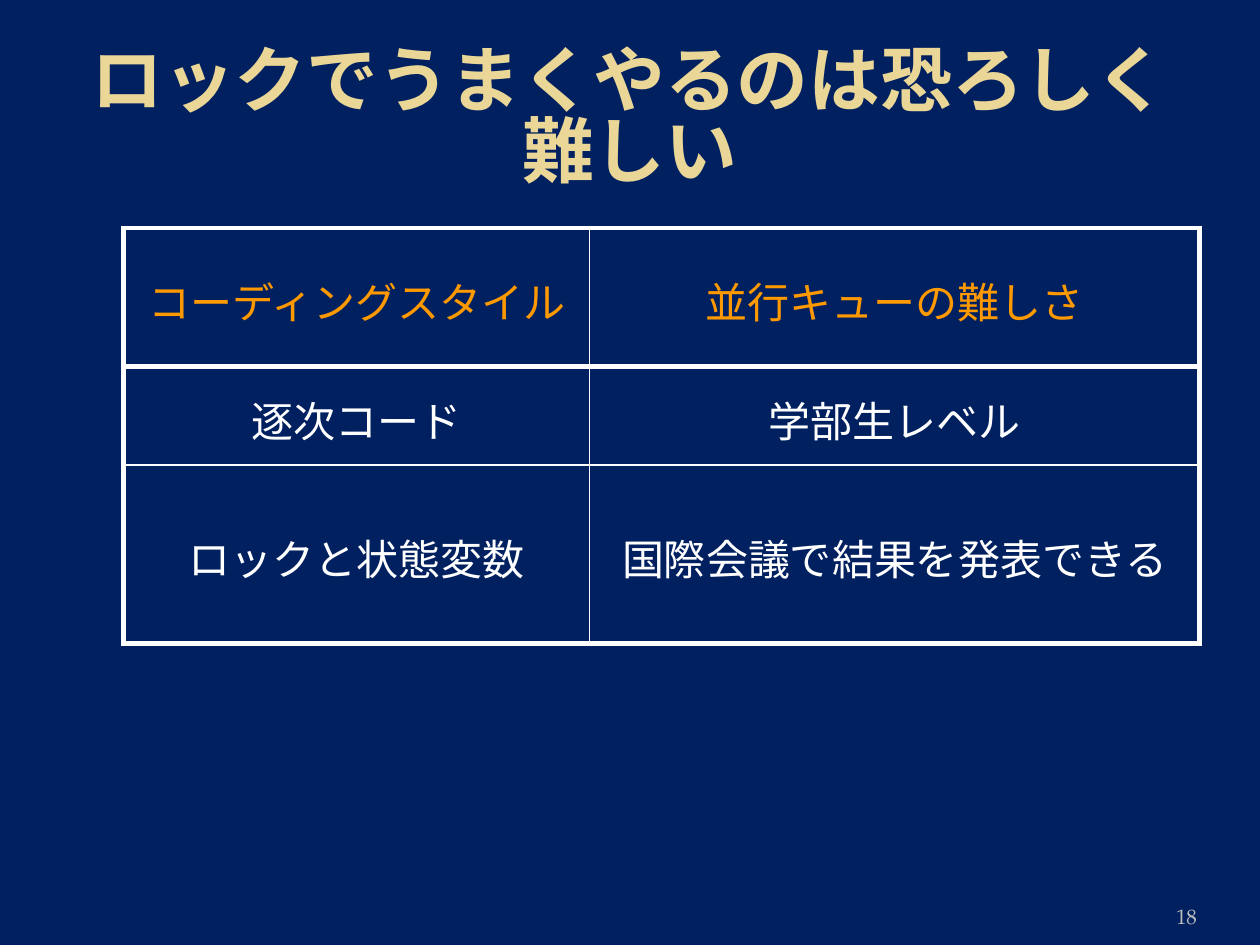
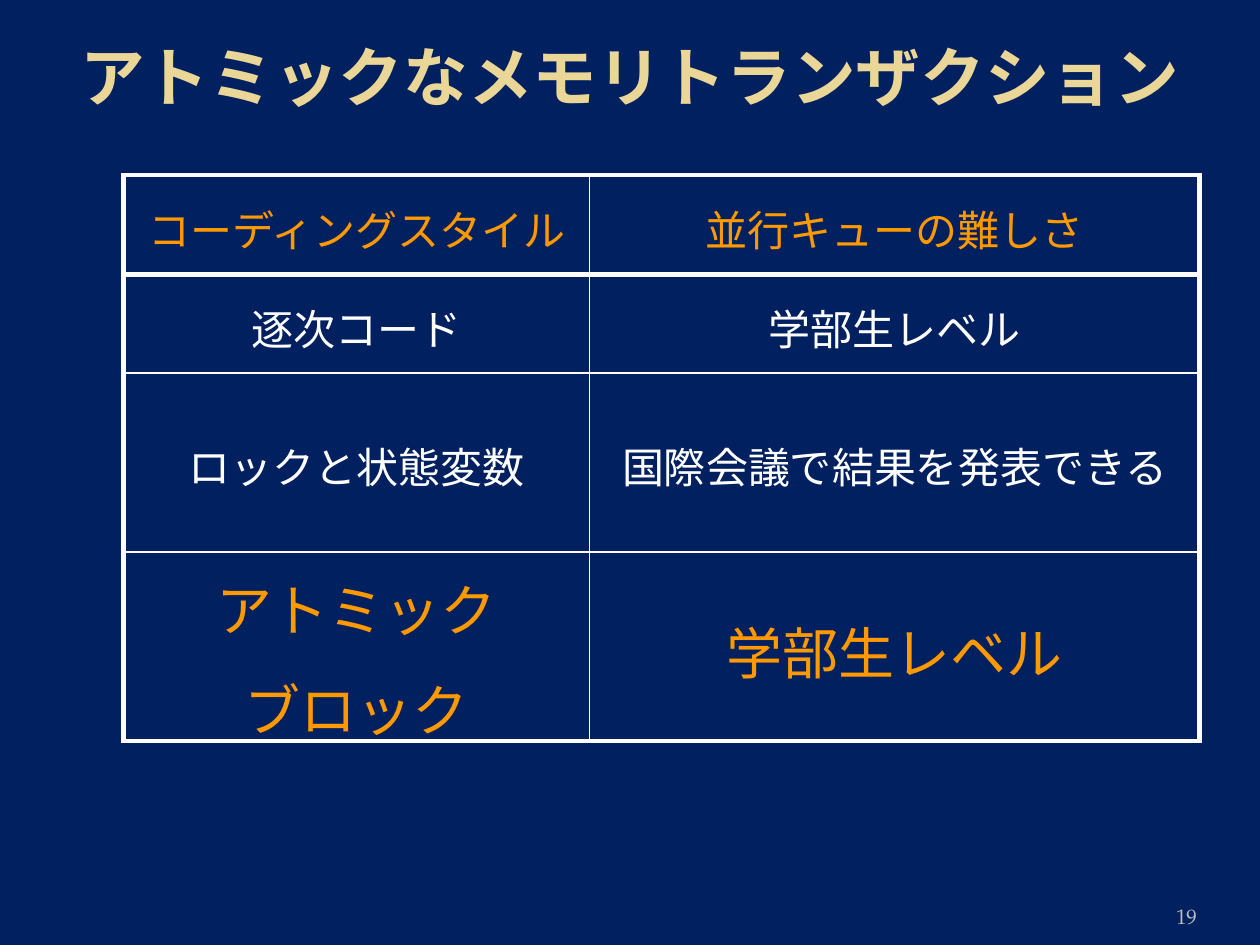
import pptx
import pptx.util
import pptx.dml.color
import pptx.enum.lang
import pptx.enum.text
import pptx.oxml.ns
from dataclasses import dataclass
from lxml import etree

Inches, Pt = pptx.util.Inches, pptx.util.Pt
Align, Anchor = pptx.enum.text.PP_ALIGN, pptx.enum.text.MSO_ANCHOR


@dataclass(frozen=True)
class Theme:
    navy: str = "002060"
    gold: str = "EAD696"
    orange: str = "FF9900"
    white: str = "FFFFFF"
    grey: str = "BDBDBD"
    head: str = "Noto Sans"
    body: str = "Arial"
    foot: str = "TeX Gyre Pagella"
    cell: float = 24
    large: float = 32
    small: float = 12
    thick: float = 3
    thin: float = 1


def color(code):
    return pptx.dml.color.RGBColor.from_string(code)


class Deck:
    def __init__(self, theme):
        self.theme = theme
        self.file = pptx.Presentation()
        self.file.slide_width = Inches(10)
        self.file.slide_height = Inches(7.5)
        fill = self.file.slide_master.background.fill
        fill.solid()
        fill.fore_color.rgb = color(theme.navy)
        self.slide = None

    def start(self, title, size, number):
        """Add a slide with its title and page number."""
        self.slide = self.file.slides.add_slide(self.file.slide_layouts[5])
        self.title(title, size)
        self.number(number)

    def style(self, para, face, size, tint, align, bold=False):
        para.alignment = align
        font = para.font
        font.name, font.size, font.bold = face, Pt(size), bold
        font.color.rgb = color(tint)
        for run in para.runs:
            run.font.language_id = pptx.enum.lang.MSO_LANGUAGE_ID.JAPANESE

    def title(self, text, size):
        shape = self.slide.shapes.title
        shape.left, shape.top = Inches(0.5), Inches(0.3)
        shape.width, shape.height = Inches(9), Inches(1.25)
        frame = shape.text_frame
        frame.text = text
        frame.word_wrap = True
        frame.auto_size = pptx.enum.text.MSO_AUTO_SIZE.NONE
        frame.vertical_anchor = Anchor.TOP
        frame.margin_top = Inches(0.1)
        para = frame.paragraphs[0]
        para.line_spacing = 0.82
        self.style(para, self.theme.head, size, self.theme.gold, Align.CENTER, True)

    def number(self, value):
        box = self.slide.shapes.add_textbox(
            Inches(8.67), Inches(7.02), Inches(0.83), Inches(0.4))
        frame = box.text_frame
        frame.text = str(value)
        frame.word_wrap = True
        frame.vertical_anchor = Anchor.BOTTOM
        frame.margin_left = frame.margin_right = 0
        self.style(frame.paragraphs[0], self.theme.foot, self.theme.small,
                   self.theme.grey, Align.RIGHT)

    def table(self, top, rows, heights, widths=(3.7, 4.84)):
        """Draw rows of (texts, size, tint) under one header row."""
        frame = self.slide.shapes.add_table(
            len(rows), len(widths), Inches(0.98), Inches(top),
            Inches(sum(widths)), Inches(sum(heights)))
        grid = frame.table
        grid.first_row = grid.horz_banding = False
        for column, width in zip(grid.columns, widths):
            column.width = Inches(width)
        for row, height in zip(grid.rows, heights):
            row.height = Inches(height)
        last, end = len(rows) - 1, len(widths) - 1
        for i, (texts, size, tint) in enumerate(rows):
            for j, text in enumerate(texts):
                cell = grid.cell(i, j)
                self.fill(cell, text, size, tint)
                self.border(cell, L=j == 0, R=j == end, T=i <= 1, B=i in (0, last))

    def fill(self, cell, text, size, tint):
        cell.fill.background()
        cell.vertical_anchor = Anchor.MIDDLE
        cell.text_frame.text = text
        for para in cell.text_frame.paragraphs:
            para.line_spacing = 1.1
            para.space_after = Pt(size * 0.2)
            self.style(para, self.theme.body, size, tint, Align.CENTER)

    def border(self, cell, **sides):
        """Line each side, thick where its flag is true."""
        qn = pptx.oxml.ns.qn
        props = cell._tc.get_or_add_tcPr()
        for place, (side, heavy) in enumerate(sides.items()):
            width = Pt(self.theme.thick if heavy else self.theme.thin)
            line = etree.Element(qn(f"a:ln{side}"), w=str(width))
            solid = etree.SubElement(line, qn("a:solidFill"))
            etree.SubElement(solid, qn("a:srgbClr"), val=self.theme.white)
            props.insert(place, line)


def main():
    theme = Theme()
    deck = Deck(theme)
    rows = [
        (("コーディングスタイル", "並行キューの難しさ"), theme.cell, theme.orange),
        (("逐次コード", "学部生レベル"), theme.cell, theme.white),
        (("ロックと状態変数", "国際会議で結果を発表できる"), theme.cell, theme.white),
    ]
    atomic = (("アトミック\nブロック", "学部生レベル"), theme.large, theme.orange)

    deck.start("ロックでうまくやるのは恐ろしく難しい", 41, 18)
    deck.table(1.81, rows, (1.1, 0.78, 1.42))

    deck.start("アトミックなメモリトランザクション", 36.9, 19)
    deck.table(1.39, rows + [atomic], (0.79, 0.78, 1.42, 1.5))

    deck.file.save("out.pptx")


if __name__ == "__main__":
    main()
